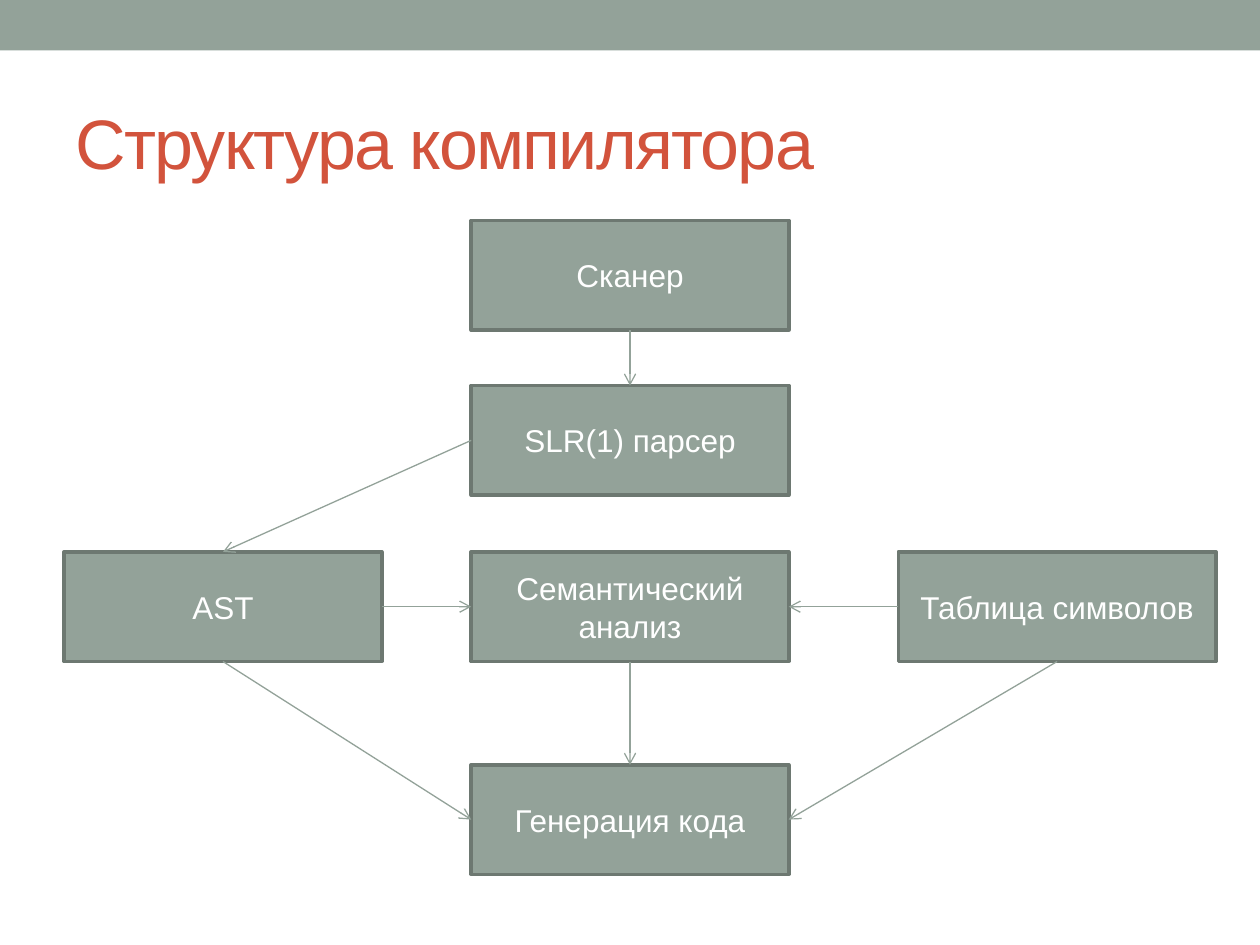
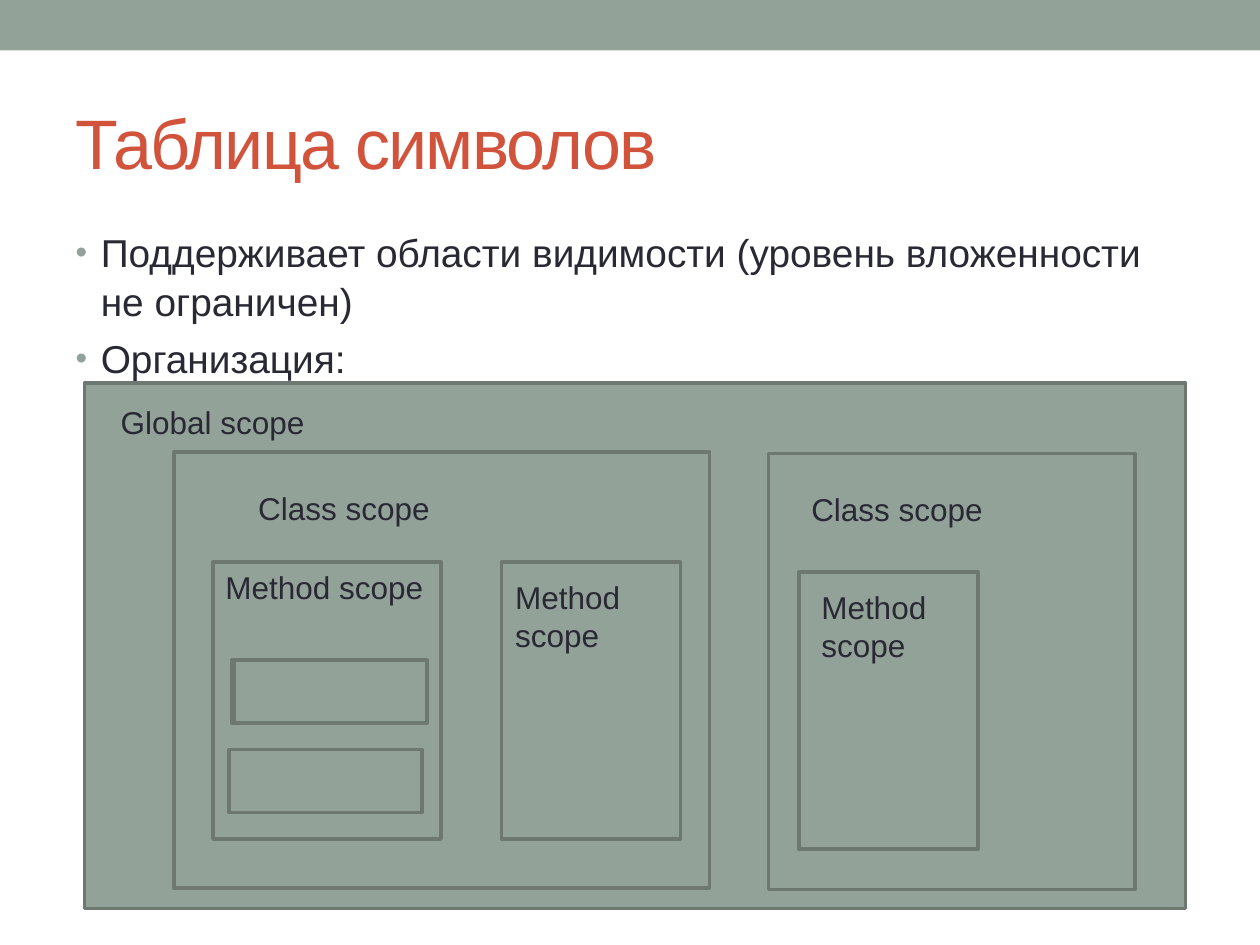
from lxml.etree import SubElement
from pptx import Presentation
from pptx.dml.color import RGBColor
from pptx.enum.shapes import MSO_CONNECTOR, MSO_SHAPE
from pptx.enum.text import MSO_ANCHOR, MSO_AUTO_SIZE, PP_ALIGN
from pptx.oxml.ns import qn
from pptx.util import Inches, Pt

COLORS = {"sage": "93A299", "edge": "6D7871", "title": "D2533C",
          "ink": "292934", "white": "FFFFFF"}
COLUMNS, ROWS = 100, 75
TOP, LEFT, BOTTOM, RIGHT = range(4)

FRAMES = {
    "title": {"word_wrap": True, "auto_size": MSO_AUTO_SIZE.NONE,
              "vertical_anchor": MSO_ANCHOR.MIDDLE},
    "list": {"word_wrap": True, "auto_size": MSO_AUTO_SIZE.NONE,
             "vertical_anchor": MSO_ANCHOR.TOP},
    "box": {"word_wrap": True, "vertical_anchor": MSO_ANCHOR.MIDDLE},
    "label": {"word_wrap": False, "auto_size": MSO_AUTO_SIZE.SHAPE_TO_FIT_TEXT},
    "wrapped label": {"word_wrap": True,
                      "auto_size": MSO_AUTO_SIZE.SHAPE_TO_FIT_TEXT},
}
PARAGRAPHS = {
    "title": {"alignment": PP_ALIGN.LEFT},
    "list": {"alignment": PP_ALIGN.LEFT, "space_before": Pt(4.4),
             "line_spacing": 1.05},
    "box": {"alignment": PP_ALIGN.CENTER},
}
FONTS = {"title": (40, "title"), "list": (22.2, "ink"), "box": (18, "white"),
         "label": (18, "ink"), "wrapped label": (18, "ink")}


def color(name):
    return RGBColor.from_string(COLORS[name])


def set_values(target, values):
    for name, value in values.items():
        setattr(target, name, value)


class Deck:
    """Holds the style and the current slide; lengths are grid columns and rows."""

    def __init__(self):
        self.presentation = Presentation()
        self.presentation.slide_width = Inches(10)
        self.presentation.slide_height = Inches(7.5)
        self.slide = None

    def place(self, left, top, width, height):
        column = self.presentation.slide_width / COLUMNS
        row = self.presentation.slide_height / ROWS
        return [round(n * unit) for n, unit in
                zip((left, top, width, height), (column, row, column, row))]

    def move(self, shape, *area):
        set_values(shape, dict(zip(("left", "top", "width", "height"),
                                   self.place(*area))))

    def fill_text(self, shape, style, *lines):
        frame = shape.text_frame
        frame.text = "\n".join(lines)
        set_values(frame, FRAMES[style])
        size, ink = FONTS[style]
        for paragraph in frame.paragraphs:
            set_values(paragraph, PARAGRAPHS.get(style, {}))
            for run in paragraph.runs:
                set_values(run.font, {"name": "Arial", "size": Pt(size)})
                run.font.color.rgb = color(ink)

    def new_slide(self, heading, layout):
        self.slide = self.presentation.slides.add_slide(
            self.presentation.slide_layouts.get_by_name(layout))
        title = self.slide.shapes.title
        self.move(title, 5, 5.8, 90, 10.8)
        self.fill_text(title, "title", heading)
        for run in title.text_frame.paragraphs[0].runs:
            run.font._element.set("spc", "-100")

    def master_band(self):
        """Puts the top band on the master, behind everything else."""
        band = self.box((0, 0, COLUMNS, 4), edge=None)._element
        band.nvSpPr.cNvPr.set("id", "99")
        self.presentation.slide_master.shapes._spTree.insert(2, band)

    def bullets(self, area, *lines):
        body = self.slide.placeholders[1]
        self.move(body, *area)
        self.fill_text(body, "list", *lines)
        for paragraph in body.text_frame.paragraphs:
            props = paragraph._p.get_or_add_pPr()
            props.set("marL", str(Inches(0.2)))
            props.set("indent", str(-Inches(0.2)))
            tint = SubElement(props, qn("a:buClr"))
            SubElement(tint, qn("a:srgbClr"), val=COLORS["sage"])
            SubElement(props, qn("a:buSzPct"), val="85000")
            SubElement(props, qn("a:buFont"), typeface="Arial")
            SubElement(props, qn("a:buChar"), char="•")

    def box(self, area, text="", edge="edge"):
        box = self.slide.shapes.add_shape(MSO_SHAPE.RECTANGLE, *self.place(*area))
        box.shadow.inherit = False
        box.fill.solid()
        box.fill.fore_color.rgb = color("sage")
        if edge:
            box.line.color.rgb = color(edge)
            box.line.width = Pt(2.08)
        else:
            box.line.fill.background()
        if text:
            self.fill_text(box, "box", text)
        return box

    def label(self, area, text, style="label"):
        self.fill_text(self.slide.shapes.add_textbox(*self.place(*area)),
                       style, text)

    def arrow(self, start, start_side, end, end_side):
        arrow = self.slide.shapes.add_connector(MSO_CONNECTOR.STRAIGHT, 0, 0, 0, 0)
        arrow.begin_connect(start, start_side)
        arrow.end_connect(end, end_side)
        arrow.line.color.rgb = color("sage")
        arrow.line.width = Pt(0.75)
        SubElement(arrow.line._get_or_add_ln(), qn("a:tailEnd"), type="arrow")
        SubElement(arrow._element.spPr, qn("a:effectLst"))


def compiler_structure(deck):
    deck.new_slide("Структура компилятора", "Title Only")
    deck.master_band()

    # Stages: the main flow in the middle, data on both sides
    left, middle, right = 5.1, 37.4, 71.3
    stages = {
        "Сканер": (middle, 17.5),
        "SLR(1) парсер": (middle, 30.6),
        "Семантический анализ": (middle, 43.8),
        "Генерация кода": (middle, 60.7),
        "AST": (left, 43.8),
        "Таблица символов": (right, 43.8),
    }
    scanner, parser, analysis, codegen, ast, symbols = [
        deck.box((*corner, 25.2, 8.7), name) for name, corner in stages.items()]

    # Flow between stages
    for link in (
        (scanner, BOTTOM, parser, TOP),
        (analysis, BOTTOM, codegen, TOP),
        (parser, LEFT, ast, TOP),
        (ast, RIGHT, analysis, LEFT),
        (ast, BOTTOM, codegen, LEFT),
        (symbols, LEFT, analysis, RIGHT),
        (symbols, BOTTOM, codegen, RIGHT),
    ):
        deck.arrow(*link)


def symbol_table(deck):
    deck.new_slide("Таблица символов", "Title and Content")
    deck.bullets((5, 17.5, 90, 11.3),
                 "Поддерживает области видимости (уровень вложенности не ограничен)",
                 "Организация:")

    # Nested scopes, outermost first
    global_scope = (6.7, 30.4, 87.4, 41.7)
    class_scopes = [(13.8, 35.9, 42.5, 34.6), (61, 36, 29.1, 34.6)]
    method_scopes = [(16.9, 44.6, 18.1, 22), (39.8, 44.6, 14.2, 22),
                     (63.4, 45.4, 14.2, 22)]
    inner_blocks = [(left, top, 15.3, 5)
                    for left, top in ((18.2, 59.5), (18.4, 52.4), (18.6, 52.4))]
    for scope in (global_scope, *class_scopes, *method_scopes, *inner_blocks):
        deck.box(scope)

    # Scope names
    deck.label((8.6, 31.5, 16.7, 4), "Global scope")
    for left, top in ((19.5, 38.3), (63.4, 38.4)):
        deck.label((left, top, 15.8, 4), "Class scope")
    deck.label((16.9, 44.6, 17.9, 4), "Method scope")
    for left, top in ((39.9, 45.4), (64.2, 46.2)):
        deck.label((left, top, 12.5, 7.1), "Method scope", "wrapped label")


def main():
    deck = Deck()
    compiler_structure(deck)
    symbol_table(deck)
    deck.presentation.save("out.pptx")


if __name__ == "__main__":
    main()
